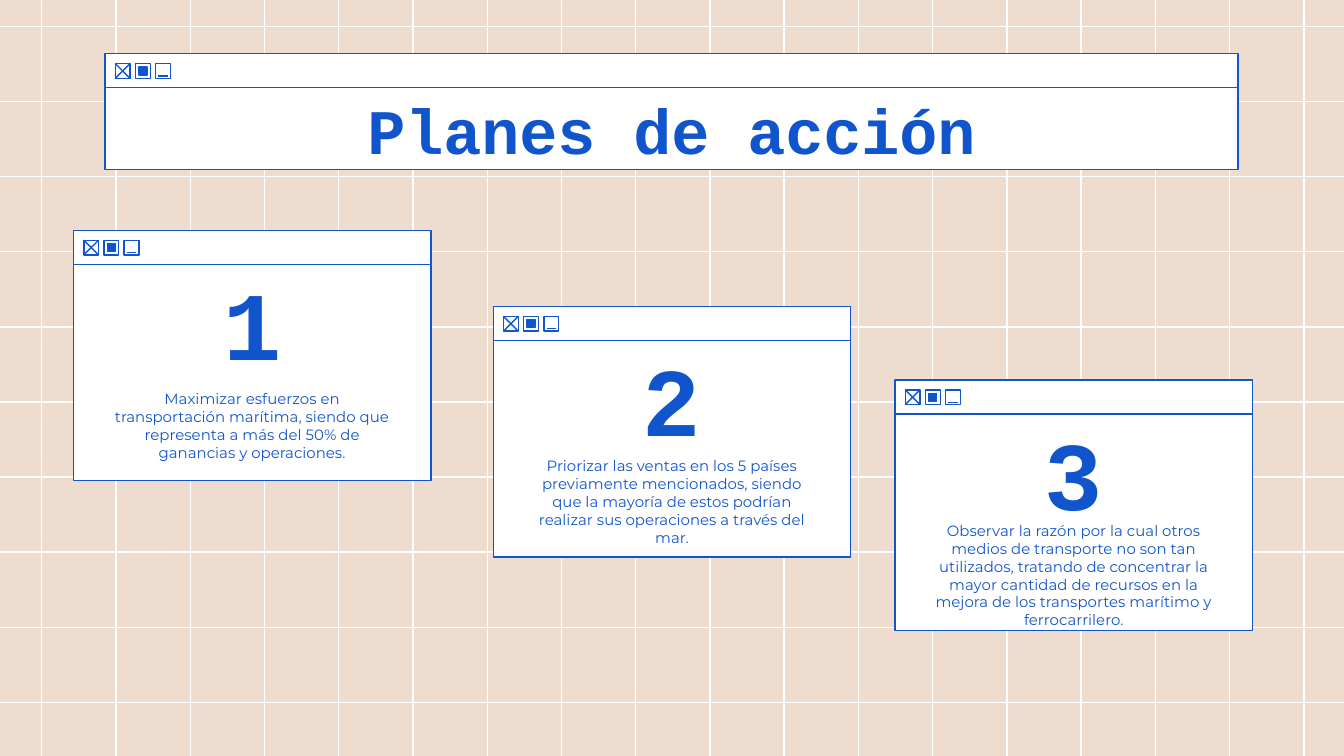
from dataclasses import dataclass

from lxml import etree
from pptx import Presentation
from pptx.dml.color import RGBColor
from pptx.enum.shapes import MSO_CONNECTOR, MSO_SHAPE
from pptx.enum.text import MSO_ANCHOR, MSO_AUTO_SIZE, PP_ALIGN
from pptx.oxml.ns import qn
from pptx.util import Pt

RECTANGLE = MSO_SHAPE.RECTANGLE
STRAIGHT = MSO_CONNECTOR.STRAIGHT
CENTER = PP_ALIGN.CENTER
MIDDLE = MSO_ANCHOR.MIDDLE
NO_AUTOFIT = MSO_AUTO_SIZE.NONE

TITLE = "Planes de acción"
PLANS = [  # left and top of the window, then its text
    (39.4, 123.4, "Maximizar esfuerzos en transportación marítima, siendo que "
     "representa a más del 50% de ganancias y operaciones."),
    (264.3, 164.2, "Priorizar las ventas en los 5 países previamente mencionados, "
     "siendo que la mayoría de estos podrían realizar sus operaciones a través del mar."),
    (479.5, 203.6, "Observar la razón por la cual otros medios de transporte no son tan "
     "utilizados, tratando de concentrar la mayor cantidad de recursos en la mejora "
     "de los transportes marítimo y ferrocarrilero."),
]


@dataclass(frozen=True)
class Theme:
    background: RGBColor = RGBColor(0xEE, 0xDC, 0xCE)
    white: RGBColor = RGBColor(0xFF, 0xFF, 0xFF)
    blue: RGBColor = RGBColor(0x11, 0x55, 0xCC)
    heading_font: str = "Courier New"
    body_font: str = "Montserrat"
    title_size: float = 34
    number_size: float = 52
    body_size: float = 8
    line_width: float = 0.75


THEME = Theme()
SLIDE_WIDTH, SLIDE_HEIGHT = 720, 405
GRID_LEFT, GRID_COLUMN, GRID_COLUMNS = 22.4, 39.77, 18
GRID_TOP, GRID_ROW, GRID_ROWS = 14.1, 40.25, 10
BAR_HEIGHT = 18.2
TITLE_BOX = (56.3, 28.8, 607, 43.9)  # left, top of bar, width, height below bar
WINDOW_WIDTH, WINDOW_BODY = 191.5, 116
ICON_SIZE, ICON_PITCH, ICON_LEFT, ICON_TOP = 7.9, 10.8, 5.5, 5.3


def place(shape, left, top, width, height):
    shape.left, shape.top = Pt(left), Pt(top)
    shape.width, shape.height = Pt(width), Pt(height)


def outline(shape, fill=None):
    if fill is None:
        shape.fill.background()
    else:
        shape.fill.solid()
        shape.fill.fore_color.rgb = fill
    shape.line.color.rgb = THEME.blue
    shape.line.width = Pt(THEME.line_width)


def add_rectangle(slide, left, top, width, height, fill=None):
    box = slide.shapes.add_shape(RECTANGLE, Pt(left), Pt(top), Pt(width), Pt(height))
    box.shadow.inherit = False
    outline(box, fill)


def add_line(slide, start_x, start_y, end_x, end_y, color=THEME.blue):
    line = slide.shapes.add_connector(
        STRAIGHT, Pt(start_x), Pt(start_y), Pt(end_x), Pt(end_y))
    line.line.color.rgb = color
    line.line.width = Pt(THEME.line_width)
    etree.SubElement(line._element.spPr, qn("a:effectLst"))


def write(box, text, *, font, size, bold=False, space_after=0):
    frame = box.text_frame
    frame.word_wrap = True
    frame.auto_size = NO_AUTOFIT
    frame.vertical_anchor = MIDDLE
    frame.margin_left = frame.margin_right = Pt(7.2)
    frame.margin_top = frame.margin_bottom = Pt(7.2)
    para = frame.paragraphs[0]
    para.alignment = CENTER
    para.line_spacing = 1.0
    para.space_before, para.space_after = Pt(0), Pt(space_after)
    properties = para._p.get_or_add_pPr()
    properties.set("marL", "0")
    properties.set("indent", "0")
    etree.SubElement(properties, qn("a:buNone"))
    span = para.add_run()
    span.text = text
    span.font.name, span.font.size, span.font.bold = font, Pt(size), bold
    span.font.color.rgb = THEME.blue


def bring_to_front(slide, shape):
    slide.shapes._spTree.append(shape._element)


def add_grid(slide):
    for column in range(GRID_COLUMNS):
        x = GRID_LEFT + column * GRID_COLUMN
        add_line(slide, x, 0, x, SLIDE_HEIGHT, THEME.white)
    for row in range(GRID_ROWS):
        y = GRID_TOP + row * GRID_ROW
        add_line(slide, 0, y, SLIDE_WIDTH, y, THEME.white)


def add_window_bar(slide, left, top, width):
    """Draw a window's top bar with its close, maximise and minimise icons."""
    add_rectangle(slide, left, top, width, BAR_HEIGHT, THEME.white)
    y = top + ICON_TOP
    bottom = y + ICON_SIZE
    close, maximise, minimise = (left + ICON_LEFT + i * ICON_PITCH for i in range(3))
    for x in (close, maximise, minimise):
        add_rectangle(slide, x, y, ICON_SIZE, ICON_SIZE)
    add_line(slide, close, y, close + ICON_SIZE, bottom)
    add_line(slide, close + ICON_SIZE, y, close, bottom)
    add_rectangle(slide, maximise + 1.8, y + 1.8, 4.3, 4.3, THEME.blue)
    add_line(slide, minimise + 1.4, y + 6.6, minimise + 6.5, y + 6.6)


def add_plan(slide, number, left, top, text, body):
    add_rectangle(slide, left, top + BAR_HEIGHT, WINDOW_WIDTH, WINDOW_BODY, THEME.white)
    add_window_bar(slide, left, top, WINDOW_WIDTH)
    number_box = slide.shapes.add_textbox(
        Pt(left + 3.2), Pt(top + 21.6), Pt(185), Pt(54.7))
    write(number_box, str(number), font=THEME.heading_font,
          size=THEME.number_size, bold=True)
    place(body, left + 14.4, top + 82.5, 162.7, 44)
    write(body, text, font=THEME.body_font, size=THEME.body_size, space_after=12)
    bring_to_front(slide, body)


def add_title(slide):
    left, top, width, height = TITLE_BOX
    title = slide.shapes.title
    place(title, left, top + BAR_HEIGHT, width, height)
    outline(title, THEME.white)
    write(title, TITLE, font=THEME.heading_font, size=THEME.title_size, bold=True)
    bring_to_front(slide, title)
    add_window_bar(slide, left, top, width)


def main():
    deck = Presentation()
    deck.slide_width, deck.slide_height = Pt(SLIDE_WIDTH), Pt(SLIDE_HEIGHT)
    slide = deck.slides.add_slide(deck.slide_layouts.get_by_name("Comparison"))
    slide.background.fill.solid()
    slide.background.fill.fore_color.rgb = THEME.background

    bodies = [box for box in slide.placeholders if box.placeholder_format.idx > 0]
    for unused in bodies[len(PLANS):]:
        slide.shapes._spTree.remove(unused._element)

    add_grid(slide)
    for number, ((left, top, text), body) in enumerate(zip(PLANS, bodies), start=1):
        add_plan(slide, number, left, top, text, body)
    add_title(slide)
    deck.save("out.pptx")


if __name__ == "__main__":
    main()
